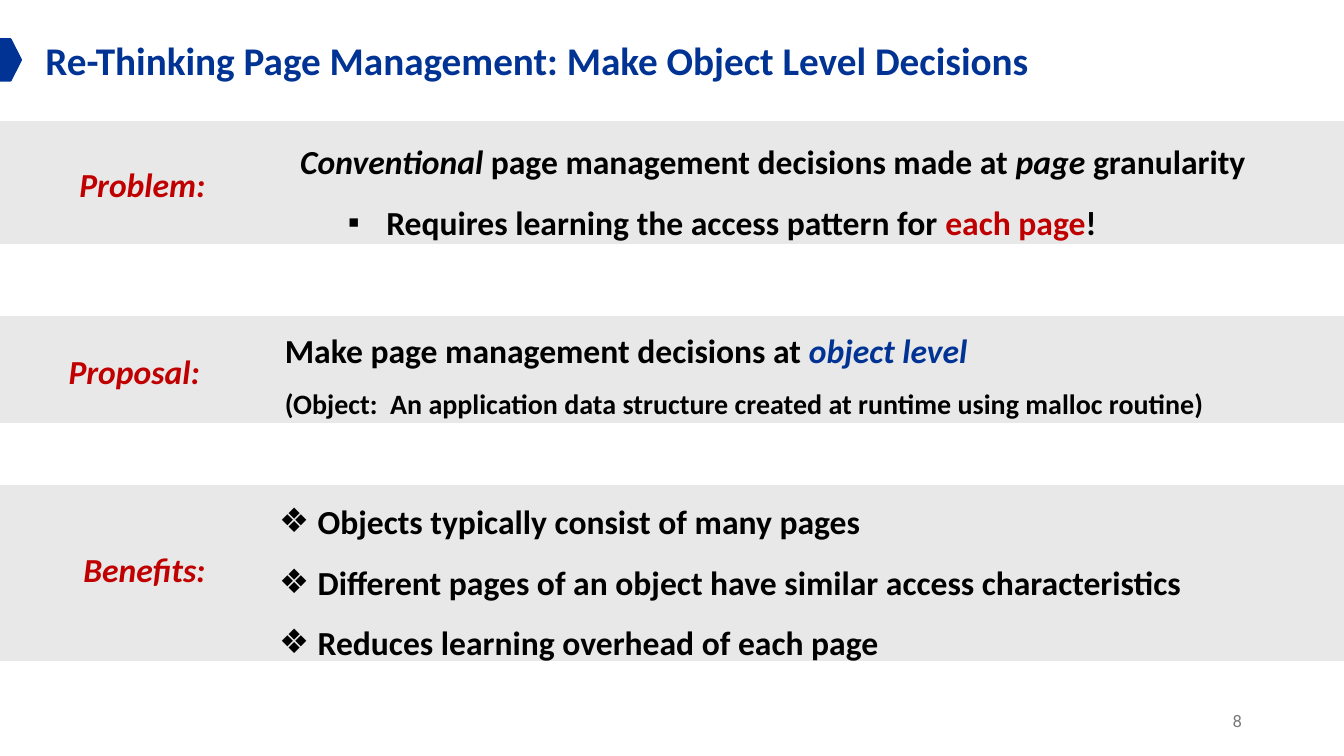
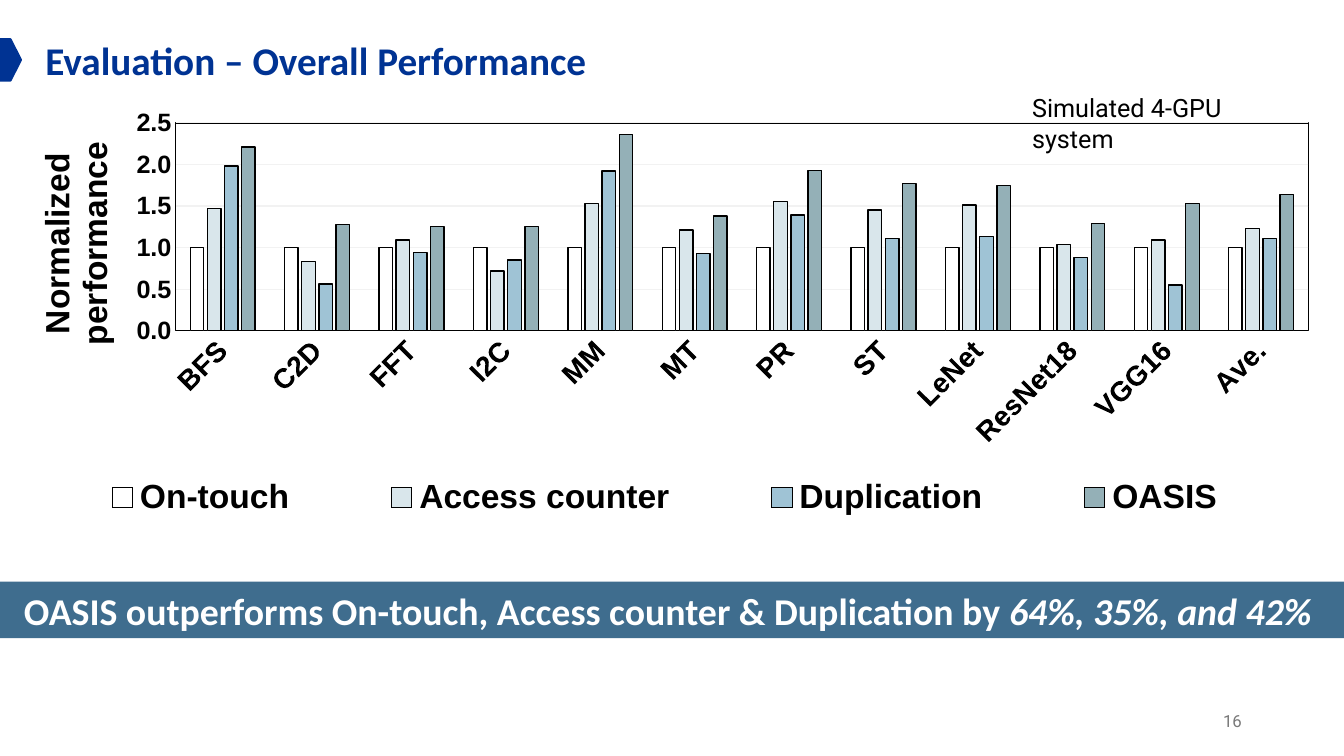
from dataclasses import dataclass

from lxml.etree import SubElement
from pptx import Presentation
from pptx.chart.data import CategoryChartData
from pptx.dml.color import RGBColor
from pptx.enum.chart import XL_CHART_TYPE as CHART, XL_LEGEND_POSITION as LEGEND, XL_TICK_MARK as TICK
from pptx.enum.shapes import MSO_SHAPE as SHAPE
from pptx.enum.text import MSO_ANCHOR as ANCHOR, MSO_AUTO_SIZE as AUTO, PP_ALIGN as ALIGN
from pptx.oxml import parse_xml
from pptx.oxml.ns import nsdecls, qn
from pptx.util import Cm, Pt

WIDTH, HEIGHT = 33.87, 19.05
TITLE_AND_CONTENT, TITLE_ONLY = 1, 5


@dataclass(frozen=True)
class Theme:
    navy: str = "003393"
    red: str = "C00000"
    black: str = "000000"
    white: str = "FFFFFF"
    band: str = "E8E8E8"
    banner: str = "3F6D8E"
    grid: str = "F2F2F2"
    number: str = "797979"
    series: tuple = ("FFFFFF", "D9E6EB", "9FC3D5", "94B0B7")
    text_font: str = "Calibri"
    note_font: str = "Roboto"
    chart_font: str = "Arial"
    title_pt: int = 28
    banner_pt: int = 27
    body_pt: int = 24
    detail_pt: int = 20
    note_pt: int = 18
    number_pt: int = 12
    axis_title_pt: int = 24
    legend_pt: int = 24
    category_pt: int = 20
    value_pt: int = 18
    chart_pt: int = 16


T = Theme()


@dataclass
class Run:
    text: str
    color: str = T.black
    italic: bool = False
    size: int = T.body_pt
    font: str = T.text_font
    bold: bool = True


@dataclass
class Para:
    """Runs with their paragraph layout; indents are in cm."""
    runs: list
    align: ALIGN = ALIGN.LEFT
    spacing: float = 1.5
    left: float = 0
    bullet: str = ""
    hang: float = 0.97
    level: int = 0


def rgb(color):
    return RGBColor.from_string(color)


def set_font(font, size, color, name, bold=True, italic=False):
    font.size, font.name, font.bold, font.italic = Pt(size), name, bold, italic
    font.color.rgb = rgb(color)


def set_line(line, color, width):
    line.color.rgb = rgb(color)
    line.width = Pt(width)


def set_layout(parent, inner=False, **fractions):
    """Place a chart part by fractions (x, y, w, h) of the chart area."""
    layout = parent.find(qn("c:layout"))
    if layout is None:
        layout = parse_xml(f"<c:layout {nsdecls('c')}/>")
        parent.insert(1 if parent.tag == qn("c:legend") else 0, layout)
    manual = SubElement(layout, qn("c:manualLayout"))
    values = {"layoutTarget": "inner"} if inner else {}
    values |= {"xMode": "edge", "yMode": "edge"} | fractions
    for key, value in values.items():
        SubElement(manual, qn(f"c:{key}")).set("val", str(value))


class Deck:
    def __init__(self):
        self.prs = Presentation()
        self.prs.slide_width, self.prs.slide_height = Cm(WIDTH), Cm(HEIGHT)
        self.s = None

    def new_slide(self, layout, title, number):
        self.s = self.prs.slides.add_slide(self.prs.slide_layouts[layout])
        heading = Para([Run(title, T.navy, size=T.title_pt)], spacing=1)
        self.placeholder(self.s.shapes.title, (0.89, 0.79, 31.9, 1.45), [heading])
        page = Run(number, T.number, size=T.number_pt, font=T.note_font, bold=False)
        self.text((23.93, 17.65, 7.62, 1.02), [Para([page], ALIGN.RIGHT, 1)], ANCHOR.MIDDLE)
        self.shape(SHAPE.PENTAGON, (0, 0.99, 0.53, 1.04), T.navy, T.navy)

    def shape(self, kind, box, fill, line=None):
        sp = self.s.shapes.add_shape(kind, *map(Cm, box))
        sp.shadow.inherit = False
        sp.fill.solid()
        sp.fill.fore_color.rgb = rgb(fill)
        if line:
            set_line(sp.line, line, 1.5)
        else:
            sp.line.fill.background()
        return sp

    def band(self, top, height):
        """Full-width strip behind the title and the list."""
        sp = self.shape(SHAPE.RECTANGLE, (0, top, WIDTH, height), T.band, T.band)
        self.s.shapes.title.element.addprevious(sp.element)

    def banner(self, top, height, runs):
        sp = self.shape(SHAPE.RECTANGLE, (0, top, WIDTH, height), T.banner)
        self.set_text(sp.text_frame, [Para(runs, ALIGN.CENTER, 1)], ANCHOR.MIDDLE)

    def placeholder(self, sp, box, paras):
        sp.left, sp.top, sp.width, sp.height = map(Cm, box)
        self.set_text(sp.text_frame, paras)

    def text(self, box, paras, anchor=ANCHOR.TOP):
        sp = self.s.shapes.add_textbox(*map(Cm, box))
        self.set_text(sp.text_frame, paras, anchor)
        return sp

    def label(self, top, text):
        para = Para([Run(text, T.red, True)], ALIGN.RIGHT, 1)
        tf = self.text((0.53, top, 4.65, 1.6), [para], ANCHOR.MIDDLE).text_frame
        tf.margin_left = Cm(0.5)
        tf.margin_right = tf.margin_top = tf.margin_bottom = 0

    def set_text(self, tf, paras, anchor=ANCHOR.TOP):
        tf.word_wrap, tf.auto_size, tf.vertical_anchor = True, AUTO.NONE, anchor
        self.fill_paragraphs(tf, paras)

    def fill_paragraphs(self, tf, paras):
        for i, para in enumerate(paras):
            p = tf.add_paragraph() if i else tf.paragraphs[0]
            p.alignment, p.line_spacing, p.level = para.align, para.spacing, para.level
            p.space_before = p.space_after = Pt(0)
            p_pr = p._p.get_or_add_pPr()
            p_pr.set("marL", str(Cm(para.left)))
            p_pr.set("indent", str(-Cm(para.hang) if para.bullet else 0))
            if para.bullet:
                SubElement(p_pr, qn("a:buFont")).set("typeface", T.chart_font)
                SubElement(p_pr, qn("a:buChar")).set("char", para.bullet)
            for run in para.runs:
                r = p.add_run()
                r.text = run.text
                set_font(r.font, run.size, run.color, run.font, run.bold, run.italic)

    def column_chart(self, box, categories, series, value_title):
        data = CategoryChartData(number_format="0.00")
        data.categories = categories
        for name, values in series.items():
            data.add_series(name, values)
        frame = self.s.shapes.add_chart(CHART.COLUMN_CLUSTERED, *map(Cm, box), data)
        chart = frame.chart
        chart.has_title = False
        set_font(chart.font, T.chart_pt, T.black, T.chart_font)

        plot = chart.plots[0]
        plot.gap_width, plot.overlap, plot.vary_by_categories = 218, -27, False
        for ser, color in zip(plot.series, T.series):
            ser.format.fill.solid()
            ser.format.fill.fore_color.rgb = rgb(color)
            ser.invert_if_negative = False
            set_line(ser.format.line, T.black, 1)

        self.style_axes(chart, value_title)
        chart.has_legend = True
        chart.legend.position, chart.legend.include_in_layout = LEGEND.BOTTOM, False
        set_font(chart.legend.font, T.legend_pt, T.black, T.chart_font)
        set_layout(chart.element.xpath(".//c:legend")[0], x=0, y=0.86, w=1, h=0.14)

        area = chart.element.xpath(".//c:plotArea")[0]
        set_layout(area, inner=True, x=0.12, y=0.03, w=0.88, h=0.5)
        area.append(parse_xml(
            f'<c:spPr {nsdecls("c", "a")}><a:noFill/><a:ln w="{Pt(1)}"><a:solidFill>'
            f'<a:srgbClr val="{T.black}"/></a:solidFill></a:ln></c:spPr>'))

    def style_axes(self, chart, value_title):
        cat, val = chart.category_axis, chart.value_axis
        for axis, size in ((cat, T.category_pt), (val, T.value_pt)):
            axis.major_tick_mark = axis.minor_tick_mark = TICK.NONE
            set_font(axis.tick_labels.font, size, T.black, T.chart_font)
        cat.has_major_gridlines = False
        set_line(cat.format.line, T.black, 0.75)
        chart.element.xpath(".//c:catAx/c:txPr/a:bodyPr")[0].set("rot", "-2700000")

        val.minimum_scale, val.maximum_scale, val.major_unit = 0, 2.5, 0.5
        val.tick_labels.number_format = "#,##0.0"
        val.tick_labels.number_format_is_linked = False
        val.format.line.fill.background()
        set_line(val.major_gridlines.format.line, T.grid, 0.75)
        title = val.axis_title
        self.fill_paragraphs(title.text_frame, [
            Para([Run(line, size=T.axis_title_pt, font=T.chart_font)], ALIGN.CENTER, 1)
            for line in value_title])
        body = chart.element.xpath(".//c:valAx/c:title//a:bodyPr")[0]
        body.set("rot", "-5400000")
        body.set("vert", "horz")
        set_layout(chart.element.xpath(".//c:valAx/c:title")[0], x=0.01, y=0.07)


def build_page_management(deck):
    deck.new_slide(TITLE_AND_CONTENT,
                   "Re-Thinking Page Management: Make Object Level Decisions", "8")
    for top, height in ((12.24, 4.39), (8, 2.64), (3.07, 3.05)):
        deck.band(top, height)

    deck.label(3.84, "Problem:")
    deck.text((0, 2.92, WIDTH, 3.18), [
        Para([Run("Conventional ", italic=True), Run("page management decisions made at "),
              Run("page", italic=True), Run(" granularity")], ALIGN.CENTER, left=5.08),
        Para([Run("Requires learning the access pattern for "), Run("each page", T.red),
              Run("!")], ALIGN.CENTER, left=3.5, bullet="▪", level=1)])

    deck.text((1.42, 8.2, 4.06, 1.63),
              [Para([Run("Proposal: ", T.red, True)], ALIGN.RIGHT)])
    deck.text((6.93, 7.67, 26.06, 2.95), [
        Para([Run("Make page management decisions at "), Run("object level", T.navy, True)]),
        Para([Run("(Object:  An application data structure created at runtime "
                  "using malloc routine)", size=T.detail_pt)])])

    deck.label(13.54, "Benefits:")
    benefits = ("Objects typically consist of many pages",
                "Different pages of an object have similar access characteristics",
                "Reduces learning overhead of each page")
    deck.placeholder(deck.s.placeholders[1], (6.78, 11.99, 27.08, 4.72),
                     [Para([Run(text)], left=0.97, bullet="❖") for text in benefits])


def build_performance(deck):
    deck.new_slide(TITLE_ONLY, "Evaluation – Overall Performance", "16")
    deck.banner(14.66, 1.42, [
        Run("OASIS outperforms On-touch, Access counter & Duplication by ",
            T.white, size=T.banner_pt),
        Run("64%, 35%, and 42% ", T.white, True, T.banner_pt)])
    categories = ("BFS", "C2D", "FFT", "I2C", "MM", "MT", "PR", "ST",
                  "LeNet", "ResNet18", "VGG16", "Ave.")
    series = {
        "On-touch": [1] * len(categories),
        "Access counter": (1.47, 0.83, 1.09, 0.72, 1.53, 1.21, 1.55, 1.45, 1.51, 1.04, 1.09, 1.23),
        "Duplication": (1.98, 0.56, 0.94, 0.85, 1.92, 0.93, 1.39, 1.11, 1.13, 0.88, 0.55, 1.11),
        "OASIS": (2.21, 1.28, 1.25, 1.25, 2.36, 1.38, 1.93, 1.77, 1.75, 1.29, 1.53, 1.64),
    }
    deck.column_chart((0.53, 2.74, 32.46, 10.52), categories, series,
                      ("Normalized", "performance"))
    note = Run("Simulated 4-GPU system", size=T.note_pt, font=T.note_font, bold=False)
    deck.text((25.76, 2.21, 7.3, 1.02), [Para([note], spacing=1)])


def main():
    deck = Deck()
    build_page_management(deck)
    build_performance(deck)
    deck.prs.save("out.pptx")


if __name__ == "__main__":
    main()
